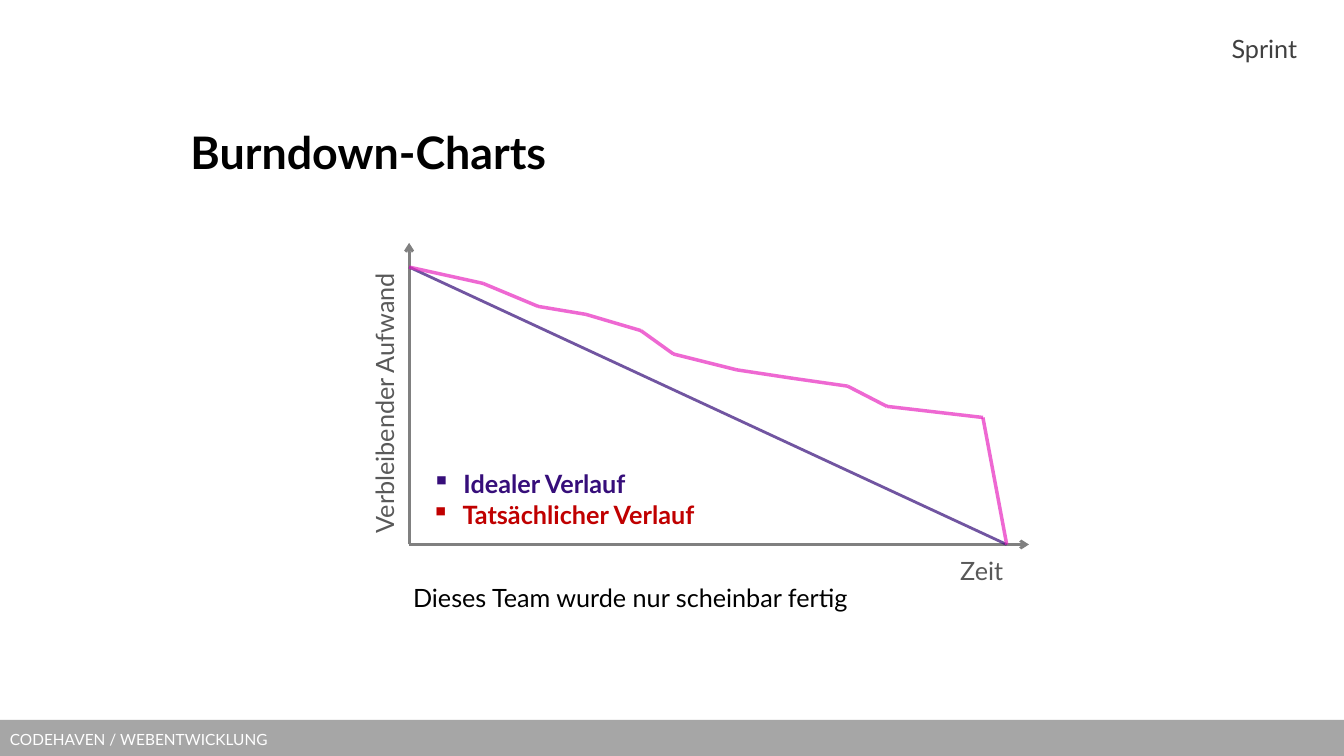
from itertools import pairwise

from lxml import etree
from pptx import Presentation
from pptx import util as u
from pptx.dml.color import RGBColor
from pptx.enum import shapes, text
from pptx.oxml.ns import qn

FONT = "Lato"
COLORS = {
    "footer": "A6A6A6", "white": "FFFFFF", "black": "000000",
    "section": "404040", "label": "595959", "axis": "808080",
    "ideal": "360E7A", "actual": "E729BF", "actual_label": "C00000",
}

# Lengths in centimetres
SLIDE = (33.87, 19.05)
FOOTER = ("CODEHAVEN / WEBENTWICKLUNG", (0, 18.14, 33.87, 0.99))
TEXTS = [
    dict(words="Burndown-Charts", place=(4.55, 1.91, 24.77, 3.81),
         color="black", size=32, bold=True, anchor=text.MSO_ANCHOR.MIDDLE),
    dict(words="Sprint", place=(11.51, 0, 21.18, 1.6), color="section",
         anchor=text.MSO_ANCHOR.BOTTOM, align=text.PP_ALIGN.RIGHT,
         insets=(0, 0, 0, 0), spacing=1.2),
    dict(words="Tatsächlicher Verlauf", place=(10.62, 12.45, 7.95, 1.02),
         color="actual_label", bold=True, bullet="▪"),
    dict(words="Idealer Verlauf", place=(10.64, 11.68, 5.77, 1.02),
         color="ideal", bold=True, bullet="▪"),
    dict(words="Dieses Team wurde nur scheinbar fertig",
         place=(10.31, 14.73, 15.65, 1.6), color="black",
         insets=(0.1, 0, 0, 0), spacing=0.95),
    dict(words="Zeit", place=(23.95, 13.87, 1.65, 1.02), color="label"),
    dict(words="Verbleibender Aufwand", place=(5.92, 9.42, 7.52, 1.02),
         color="label", rotation=270),
]
ORIGIN = (10.31, 13.72)
AXIS_TIPS = [(10.31, 6.12), (25.93, 13.72)]
ACTUAL = [
    (10.31, 6.73), (12.17, 7.14), (13.56, 7.72), (14.76, 7.92),
    (16.15, 8.33), (16.97, 8.92), (18.57, 9.32), (19.96, 9.53),
    (21.36, 9.73), (22.35, 10.24), (24.77, 10.52), (25.37, 13.72),
]
BULLET_INDENT = 0.79


def rgb(name):
    return RGBColor.from_string(COLORS[name])


def style_text(frame, words, color, size=18, bold=False):
    frame.text = words
    frame.word_wrap = True
    span = frame.paragraphs[0].runs[0]
    span.font.name = FONT
    span.font.size = u.Pt(size)
    span.font.bold = bold
    span.font.color.rgb = rgb(color)


def add_bullet(para, symbol):
    properties = para._p.get_or_add_pPr()
    properties.set("marL", str(u.Cm(BULLET_INDENT)))
    properties.set("indent", str(-u.Cm(BULLET_INDENT)))
    etree.SubElement(properties, qn("a:buChar"), char=symbol)


def add_text(page, words, place, color, size=18, bold=False,
             anchor=text.MSO_ANCHOR.TOP, align=text.PP_ALIGN.LEFT,
             insets=(0.25, 0.13, 0.25, 0.13), spacing=None, bullet=None,
             rotation=0):
    box = page.shapes.add_textbox(*map(u.Cm, place))
    box.rotation = rotation
    frame = box.text_frame
    style_text(frame, words, color, size, bold)
    frame.vertical_anchor = anchor
    (frame.margin_left, frame.margin_top,
     frame.margin_right, frame.margin_bottom) = map(u.Cm, insets)
    para = frame.paragraphs[0]
    if bullet:
        add_bullet(para, bullet)
    para.alignment = align
    if spacing:
        para.line_spacing = spacing


def add_line(page, start, end, color, width, opacity=None, arrow=False):
    line = page.shapes.add_connector(
        shapes.MSO_CONNECTOR.STRAIGHT, *map(u.Cm, start + end))
    line.line.color.rgb = rgb(color)
    line.line.width = u.Pt(width)
    properties = line._element.spPr
    if opacity:
        fill = properties.find(".//" + qn("a:srgbClr"))
        etree.SubElement(fill, qn("a:alpha"), val=str(opacity * 1000))
    if arrow:
        etree.SubElement(properties.find(qn("a:ln")), qn("a:tailEnd"), type="arrow")
    etree.SubElement(properties, qn("a:effectLst"))


def add_footer(page, words, place):
    bar = page.shapes.add_shape(shapes.MSO_SHAPE.RECTANGLE, *map(u.Cm, place))
    bar.shadow.inherit = False
    bar.fill.solid()
    bar.fill.fore_color.rgb = rgb("footer")
    bar.line.fill.background()
    style_text(bar.text_frame, words, "white", 11)
    bar.text_frame.vertical_anchor = text.MSO_ANCHOR.MIDDLE
    bar.text_frame.paragraphs[0].alignment = text.PP_ALIGN.LEFT


def main():
    deck = Presentation()
    deck.slide_width, deck.slide_height = map(u.Cm, SLIDE)
    page = deck.slides.add_slide(deck.slide_layouts[6])
    add_footer(page, *FOOTER)
    for tip in AXIS_TIPS:
        add_line(page, ORIGIN, tip, "axis", 2, arrow=True)
    add_line(page, ACTUAL[0], ACTUAL[-1], "ideal", 2, opacity=70)
    for start, end in pairwise(ACTUAL):
        add_line(page, start, end, "actual", 2.5, opacity=70)
    for item in TEXTS:
        add_text(page, **item)
    deck.save("out.pptx")


if __name__ == "__main__":
    main()
